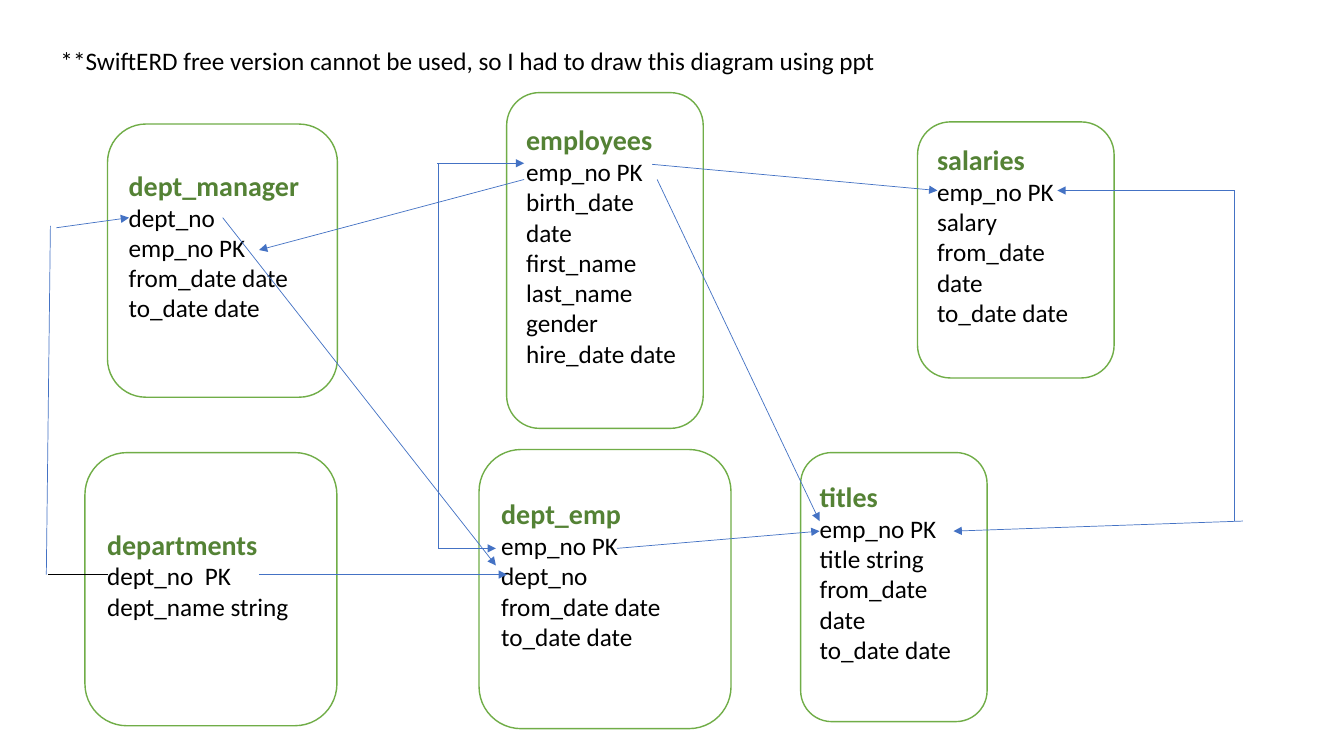
from lxml import etree
from pptx import Presentation
from pptx import util as u
from pptx.dml import color
from pptx.enum import shapes, text
from pptx.oxml import ns

Pt = u.Pt
HUES = {"paper": "FFFFFF", "edge": "70AD47", "head": "548235",
        "ink": "000000", "link": "4472C4"}


def hue(name):
    return color.RGBColor.from_string(HUES[name])


def write(par, words, size=18, ink="ink", bold=False):
    par.alignment = text.PP_ALIGN.LEFT
    run = par.add_run()
    run.text = words
    run.font.name = "Calibri"
    run.font.size = Pt(size)
    run.font.bold = bold
    run.font.color.rgb = hue(ink)


deck = Presentation()
deck.slide_width, deck.slide_height = Pt(960), Pt(540)
slide = deck.slides.add_slide(deck.slide_layouts[5])

# Note at the top
note = slide.shapes.title
note.left, note.top, note.width, note.height = Pt(36), Pt(28.8), Pt(631.4), Pt(28.8)
frame = note.text_frame
frame.word_wrap = False
frame.auto_size = text.MSO_AUTO_SIZE.NONE
frame.vertical_anchor = text.MSO_ANCHOR.TOP
write(frame.paragraphs[0],
      "**SwiftERD free version cannot be used, so I had to draw this diagram using ppt")

# Tables: title, left, top, width, height, fields
tables = [
    ("titles", 571.9, 323.3, 133.2, 192.2,
     ["emp_no PK", "title string", "from_date date", "to_date date"]),
    ("salaries", 655.4, 87.1, 140.4, 182.9,
     ["emp_no PK", "salary", "from_date date", "to_date date"]),
    ("employees", 361.9, 66.2, 140.4, 239.8,
     ["emp_no PK", "birth_date date", "first_name", "last_name", "gender",
      "hire_date date"]),
    ("dept_manager", 76.8, 88.6, 164.2, 195.1,
     ["dept_no", "emp_no PK", "from_date date", "to_date date"]),
    ("departments", 60.7, 323.3, 180, 195.1,
     ["dept_no  PK", "dept_name string"]),
    ("dept_emp", 342.2, 321.1, 180, 199.4,
     ["emp_no PK", "dept_no", "from_date date", "to_date date"]),
]
for head, left, top, width, height, fields in tables:
    box = slide.shapes.add_shape(shapes.MSO_SHAPE.ROUNDED_RECTANGLE,
                                 Pt(left), Pt(top), Pt(width), Pt(height))
    box.shadow.inherit = False
    box.fill.solid()
    box.fill.fore_color.rgb = hue("paper")
    box.line.color.rgb = hue("edge")
    box.line.width = Pt(1)
    frame = box.text_frame
    frame.word_wrap = True
    frame.vertical_anchor = text.MSO_ANCHOR.MIDDLE
    frame.margin_bottom = Pt(25)  # lifts the list by half a line
    write(frame.paragraphs[0], head, size=20, ink="head", bold=True)
    for field in fields:
        write(frame.add_paragraph(), field)

# Links: start x, start y, end x, end y, colour, arrow
links = [
    (185, 410.4, 362.2, 410.4, "link", True),
    (440.6, 391.7, 585.4, 379.4, "link", True),
    (465.8, 117.4, 669.6, 136.1, "link", True),
    (34.6, 410.4, 77, 410.4, "ink", False),
    (36, 161.3, 33.1, 410.4, "link", False),
    (40.3, 162.7, 92.2, 155.5, "link", True),
    (374.4, 128.2, 185, 178.6, "link", True),
    (882, 136.1, 755.3, 136.1, "link", True),
    (882, 136.1, 882, 372.2, "link", False),
    (887.8, 372.2, 681.1, 379.4, "link", True),
    (313.2, 116.6, 313.2, 391.7, "link", False),
    (312.5, 116.6, 374.4, 116.6, "link", True),
    (313.2, 391.7, 354.2, 391.7, "link", True),
    (159.1, 155.5, 354.2, 403.9, "link", True),
    (469.4, 128.2, 585.4, 372.2, "link", True),
]
for *ends, ink, arrow in links:
    link = slide.shapes.add_connector(shapes.MSO_CONNECTOR.STRAIGHT,
                                      *[Pt(end) for end in ends])
    link.line.color.rgb = hue(ink)
    link.line.width = Pt(0.5)
    if arrow:
        etree.SubElement(link.line._get_or_add_ln(), ns.qn("a:tailEnd"), type="triangle")
    etree.SubElement(link._element.spPr, ns.qn("a:effectLst"))

deck.save("out.pptx")
